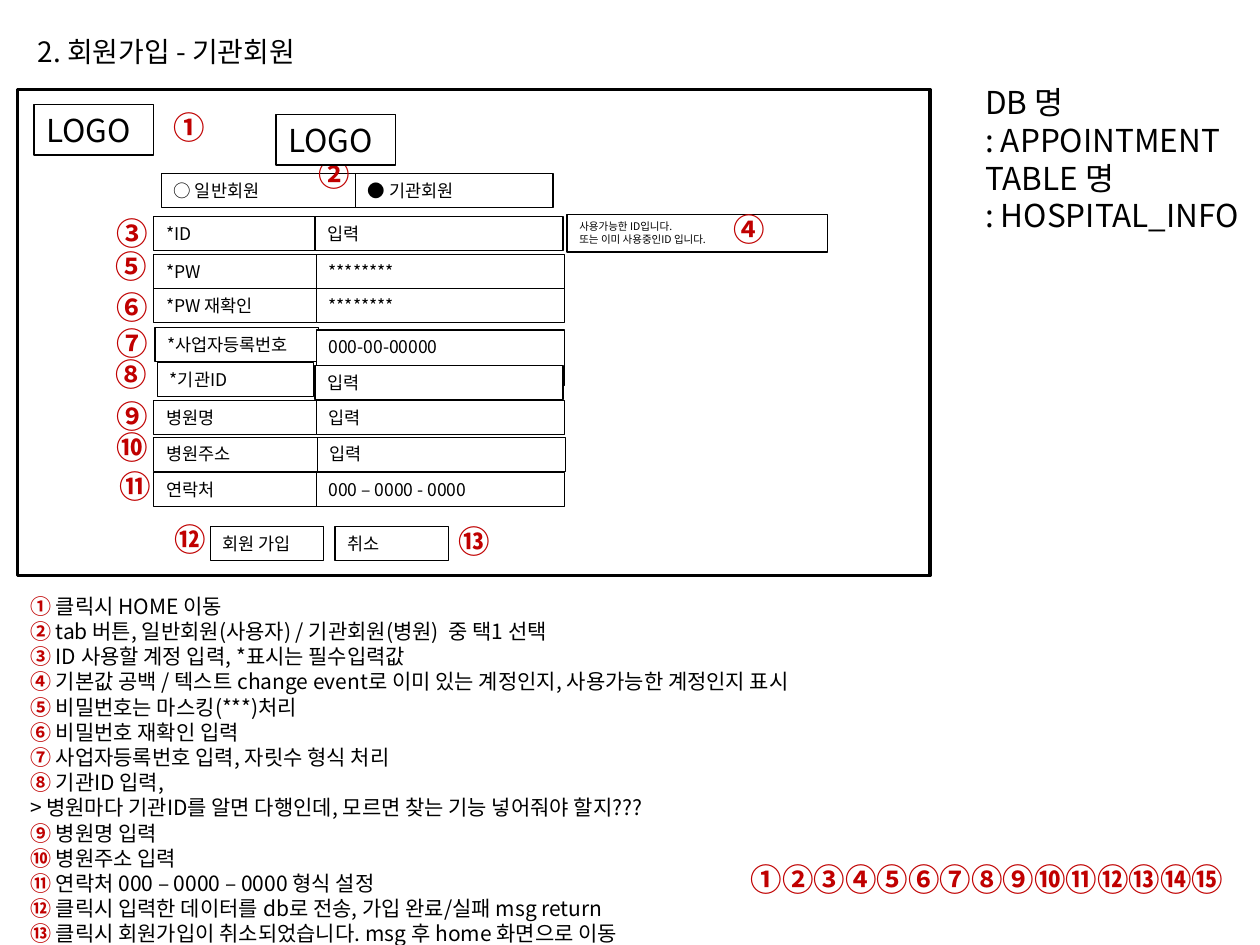
from lxml import etree
from pptx import Presentation
from pptx.dml.color import RGBColor
from pptx.enum import shapes, text
from pptx.oxml import ns
from pptx.util import Inches, Pt

FONT = "Noto Sans CJK KR"
BLACK, WHITE, RED = "000000", "FFFFFF", "C00000"
MARKS = "①②③④⑤⑥⑦⑧⑨⑩⑪⑫⑬⑭⑮"

TITLE = "2. 회원가입 - 기관회원"
NOTES = [
    "① 클릭시 HOME 이동",
    "② tab 버튼, 일반회원(사용자) / 기관회원(병원)  중 택1 선택",
    "③ ID 사용할 계정 입력, *표시는 필수입력값",
    "④ 기본값 공백 / 텍스트 change event로 이미 있는 계정인지, 사용가능한 계정인지 표시",
    "⑤ 비밀번호는 마스킹(***)처리",
    "⑥ 비밀번호 재확인 입력",
    "⑦ 사업자등록번호 입력, 자릿수 형식 처리",
    "⑧ 기관ID 입력,",
    "> 병원마다 기관ID를 알면 다행인데, 모르면 찾는 기능 넣어줘야 할지???",
    "⑨ 병원명 입력",
    "⑩ 병원주소 입력",
    "⑪ 연락처 000 – 0000 – 0000 형식 설정",
    "⑫ 클릭시 입력한 데이터를 db로 전송, 가입 완료/실패 msg return",
    "⑬ 클릭시 회원가입이 취소되었습니다. msg 후 home 화면으로 이동",
]
TABLE = ["DB 명", ": APPOINTMENT", "TABLE 명", ": HOSPITAL_INFO"]

# label, (left, top, width), value, (left, top, height)
ROWS = [
    ("*ID", (1.22, 1.72, 1.3), "입력", (2.5, 1.72, 0.27)),
    ("*PW", (1.22, 2.02, 1.3), "********", (2.51, 2.02, 0.27)),
    ("*PW 재확인", (1.22, 2.29, 1.3), "********", (2.51, 2.29, 0.27)),
    ("*사업자등록번호", (1.23, 2.6, 1.3), "000-00-00000", (2.51, 2.62, 0.44)),
    ("*기관ID", (1.25, 2.88, 1.24), "입력", (2.5, 2.9, 0.27)),
    ("병원명", (1.22, 3.18, 1.3), "입력", (2.51, 3.18, 0.27)),
    ("병원주소", (1.22, 3.47, 1.3), "입력", (2.52, 3.47, 0.27)),
    ("연락처", (1.22, 3.75, 1.3), "000 – 0000 - 0000", (2.51, 3.75, 0.27)),
]
# text, left, top, width, height, size
TOP = [
    ("LOGO", 0.27, 0.83, 0.95, 0.4, 18),
    ("○ 일반회원", 1.28, 1.38, 1.97, 0.27, 10),
    ("● 기관회원", 2.82, 1.38, 1.57, 0.27, 10),
    ("사용가능한 ID입니다. \v또는 이미 사용중인ID 입니다.", 4.5, 1.7, 2.07, 0.3, 6),
]
BUTTONS = [
    ("회원 가입", 1.67, 4.18, 0.9, 0.27, 10),
    ("취소", 2.66, 4.18, 0.9, 0.27, 10),
]
# left, top of ① to ⑬
BADGES = [
    (1.28, 0.81), (2.43, 1.18), (0.83, 1.65), (5.72, 1.62), (0.82, 1.91),
    (0.83, 2.24), (0.83, 2.52), (0.82, 2.77), (0.83, 3.1), (0.83, 3.35),
    (0.85, 3.66), (1.29, 4.08), (3.54, 4.09),
]


def color(code):
    return RGBColor.from_string(code)


def style(para, size, code=BLACK, bold=False):
    """Set one font for Latin and Korean text of a paragraph."""
    font = para.font
    font.name, font.size, font.bold = FONT, Pt(size), bold
    font.color.rgb = color(code)
    props = para._p.pPr.find(ns.qn("a:defRPr"))
    etree.SubElement(props, ns.qn("a:ea"), typeface=FONT)
    para.alignment = text.PP_ALIGN.LEFT


def write(frame, lines, size, code=BLACK, bold=False, wrap=True):
    frame.word_wrap = wrap
    frame.auto_size = text.MSO_AUTO_SIZE.SHAPE_TO_FIT_TEXT
    frame.vertical_anchor = text.MSO_ANCHOR.TOP
    for i, line in enumerate(lines):
        para = frame.add_paragraph() if i else frame.paragraphs[0]
        if len(line) > 1 and line[0] in MARKS and line[1] == " ":
            mark = para.add_run()
            mark.text = line[:2]
            mark.font.bold = True
            mark.font.color.rgb = color(RED)
            para.add_run().text = line[2:]
        else:
            para.text = line
        style(para, size, code, bold)


def place(slide, x, y, w, h, lines, size, **look):
    box = slide.shapes.add_textbox(Inches(x), Inches(y), Inches(w), Inches(h))
    write(box.text_frame, lines, size, **look)


def draw(slide, label, x, y, w, h, size=10, line=0.75):
    """Add a white outlined rectangle, with text if a label is given."""
    rect = slide.shapes.add_shape(shapes.MSO_SHAPE.RECTANGLE,
                                  Inches(x), Inches(y), Inches(w), Inches(h))
    rect.shadow.inherit = False
    rect.fill.solid()
    rect.fill.fore_color.rgb = color(WHITE)
    rect.line.color.rgb = color(BLACK)
    rect.line.width = Pt(line)
    if label:
        write(rect.text_frame, [label], size)


def main():
    deck = Presentation()
    deck.slide_width, deck.slide_height = Inches(10), Inches(7.5)
    slide = deck.slides.add_slide(deck.slide_layouts[5])

    title = slide.shapes.title
    title.left, title.top = Inches(0.2), Inches(0.21)
    title.width, title.height = Inches(3.15), Inches(0.39)
    write(title.text_frame, [TITLE], 16)
    title.text_frame.auto_size = text.MSO_AUTO_SIZE.NONE
    title.text_frame.vertical_anchor = text.MSO_ANCHOR.MIDDLE

    draw(slide, "", 0.14, 0.71, 7.24, 3.86, line=2)
    place(slide, 0.14, 4.66, 7.7, 2.9, NOTES, 12)
    place(slide, 5.86, 6.78, 3.95, 0.4, [MARKS], 18,
          code=RED, bold=True, wrap=False)

    for box in TOP:
        draw(slide, *box)
    for label, (x, y, w), value, (left, top, h) in ROWS:
        draw(slide, label, x, y, w, 0.27)
        draw(slide, value, left, top, 1.97, h)
    for box in BUTTONS:
        draw(slide, *box)
    for mark, (x, y) in zip(MARKS, BADGES):
        place(slide, x, y, 0.45, 0.4, [mark], 18,
              code=RED, bold=True, wrap=False)

    draw(slide, "LOGO", 2.19, 0.91, 0.95, 0.4, 18)
    place(slide, 7.72, 0.61, 2.22, 1.3, TABLE, 18, wrap=False)
    deck.save("out.pptx")


if __name__ == "__main__":
    main()
